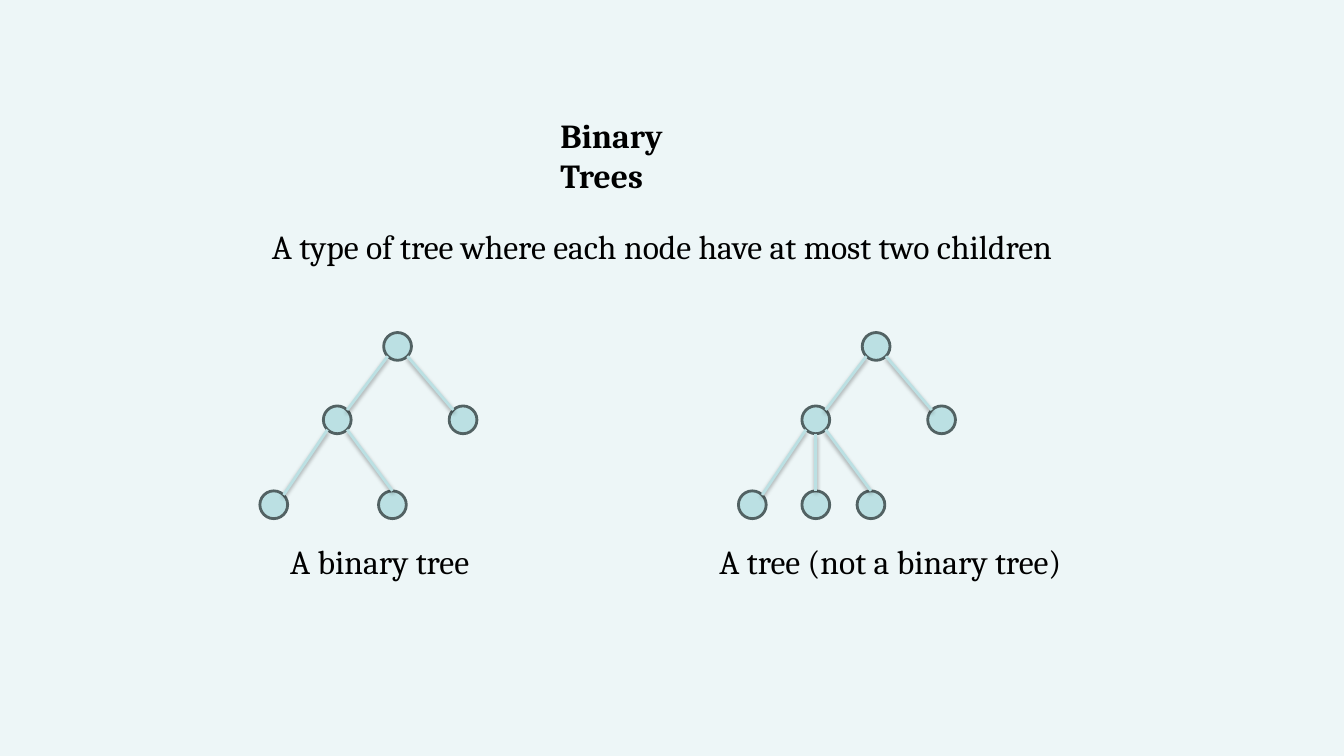
from math import sqrt

from lxml import etree
from pptx import Presentation
from pptx.dml.color import RGBColor
from pptx.enum.shapes import MSO_CONNECTOR, MSO_SHAPE
from pptx.oxml.ns import qn
from pptx.util import Cm, Pt

ELLIPSE = MSO_SHAPE.OVAL
STRAIGHT = MSO_CONNECTOR.STRAIGHT

BACKGROUND = RGBColor(0xED, 0xF6, 0xF7)
NODE_FILL = RGBColor(0xBB, 0xE0, 0xE3)
NODE_OUTLINE = RGBColor(0x52, 0x62, 0x63)
BLACK = RGBColor(0, 0, 0)

TEXT_FORMAT = {"name": "Cambria", "size": Pt(24), "bold": False}
TITLE_FORMAT = {**TEXT_FORMAT, "bold": True}
SHADOW = {"blurRad": "40000", "dist": "20000", "dir": "5400000", "rotWithShape": "0"}
SHADOW_OPACITY = "38000"

DIAMETER = 0.7
RADIUS = DIAMETER / 2
DIAGONAL = RADIUS / sqrt(2)
SITES = {
    "top": (0, -RADIUS),
    "bottom": (0, RADIUS),
    "top left": (-DIAGONAL, -DIAGONAL),
    "top right": (DIAGONAL, -DIAGONAL),
    "bottom left": (-DIAGONAL, DIAGONAL),
    "bottom right": (DIAGONAL, DIAGONAL),
}

# Node centres in cm, relative to the root
BINARY_NODES = {
    "root": (0, 0),
    "left": (-1.52, 1.85),
    "right": (1.65, 1.85),
    "left leaf": (-3.12, 3.99),
    "right leaf": (-0.13, 3.99),
}
BINARY_EDGES = [
    ("root", "bottom left", "left", "top right"),
    ("root", "bottom right", "right", "top left"),
    ("left", "bottom left", "left leaf", "top right"),
    ("left", "bottom right", "right leaf", "top"),
]
GENERAL_NODES = {**BINARY_NODES, "middle leaf": (-1.52, 3.99)}
GENERAL_EDGES = BINARY_EDGES + [("left", "bottom", "middle leaf", "top")]

ROOT_TOP = 8.73
CAPTION_TOP = 13.51


class TreeSlide:
    def __init__(self, presentation):
        self.slide = presentation.slides.add_slide(presentation.slide_layouts[6])
        fill = self.slide.background.fill
        fill.solid()
        fill.fore_color.rgb = BACKGROUND

    def text(self, content, left, top, width, font_format=TEXT_FORMAT):
        box = self.slide.shapes.add_textbox(Cm(left), Cm(top), Cm(width), Cm(1.27))
        box.text_frame.word_wrap = True
        paragraph = box.text_frame.paragraphs[0]
        run = paragraph.add_run()
        run.text = content
        for attribute, value in font_format.items():
            setattr(run.font, attribute, value)
        run.font.color.rgb = BLACK

    def node(self, x, y):
        """Draw a circle centred on x, y."""
        circle = self.slide.shapes.add_shape(
            ELLIPSE, Cm(x - RADIUS), Cm(y - RADIUS), Cm(DIAMETER), Cm(DIAMETER))
        circle.shadow.inherit = False
        circle.fill.solid()
        circle.fill.fore_color.rgb = NODE_FILL
        circle.line.color.rgb = NODE_OUTLINE
        circle.line.width = Pt(2)

    def edge(self, start, end):
        """Draw a line with a soft shadow below it."""
        points = [Cm(value) for value in (*start, *end)]
        line = self.slide.shapes.add_connector(STRAIGHT, *points)
        line.line.color.rgb = NODE_FILL
        line.line.width = Pt(2)
        effects = etree.SubElement(line._element.spPr, qn("a:effectLst"))
        shadow = etree.SubElement(effects, qn("a:outerShdw"), SHADOW)
        color = etree.SubElement(shadow, qn("a:srgbClr"), val=str(BLACK))
        etree.SubElement(color, qn("a:alpha"), val=SHADOW_OPACITY)

    def tree(self, root_x, nodes, edges):
        centres = {name: (root_x + x, ROOT_TOP + y) for name, (x, y) in nodes.items()}

        def site_point(name, site):
            return [a + b for a, b in zip(centres[name], SITES[site])]

        for x, y in centres.values():
            self.node(x, y)
        for parent, parent_site, child, child_site in edges:
            self.edge(site_point(parent, parent_site), site_point(child, child_site))


def main():
    presentation = Presentation()
    presentation.slide_width = Cm(33.87)
    presentation.slide_height = Cm(19.05)

    page = TreeSlide(presentation)
    page.text("Binary Trees", 13.87, 2.77, 4.88, TITLE_FORMAT)
    page.text("A type of tree where each node have at most two children", 6.6, 5.56, 20.65)
    page.tree(22.08, GENERAL_NODES, GENERAL_EDGES)
    page.tree(10.02, BINARY_NODES, BINARY_EDGES)
    page.text("A binary tree", 7.06, CAPTION_TOP, 5.1)
    page.text("A tree (not a binary tree)", 17.88, CAPTION_TOP, 9.2)

    presentation.save("out.pptx")


if __name__ == "__main__":
    main()
